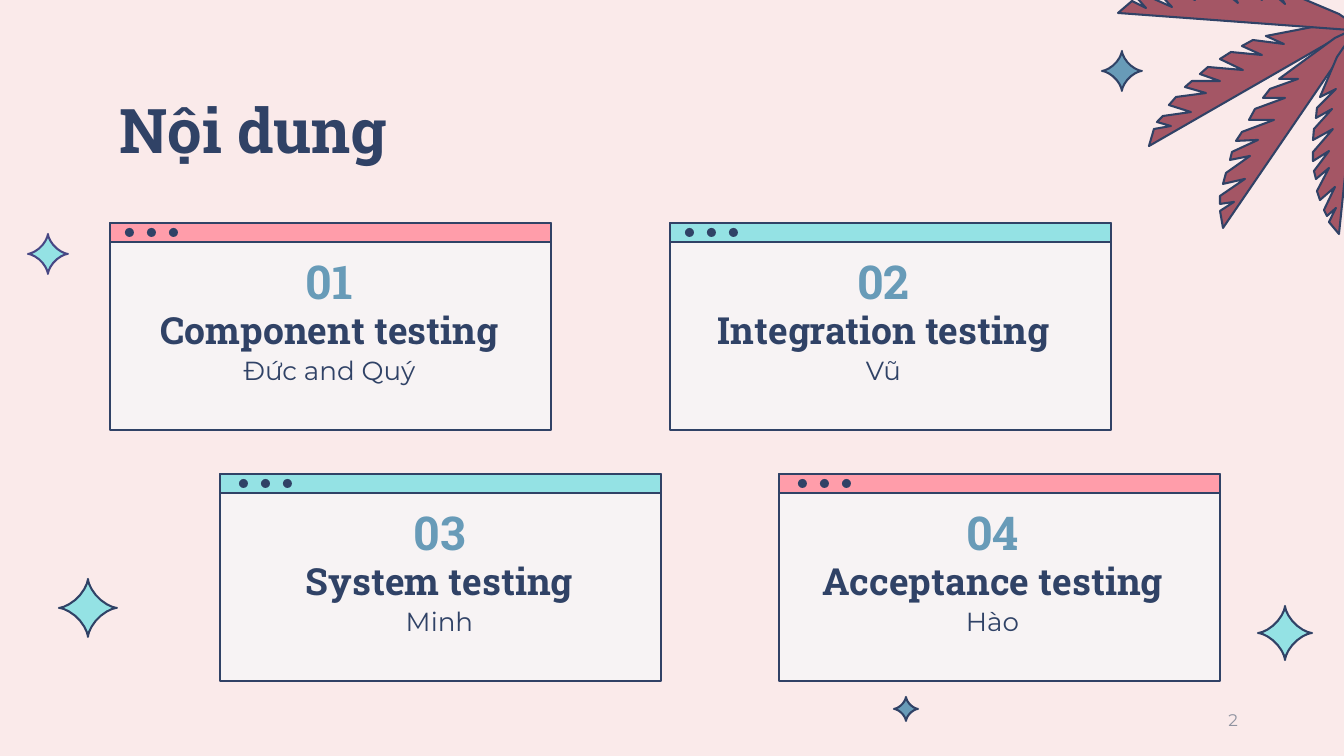
from math import cos, radians, sin

from pptx import Presentation
from pptx.dml.color import RGBColor
from pptx.enum.shapes import MSO_SHAPE as Shape
from pptx.enum.text import MSO_ANCHOR as Anchor, PP_ALIGN as Align
from pptx.util import Pt

PX = 914400 / 134.4
FINE = 100  # freeform units per px

CREAM = RGBColor(0xFA, 0xEA, 0xEA)
PAPER = RGBColor(0xF7, 0xF3, 0xF4)
NAVY = RGBColor(0x30, 0x42, 0x66)
PURPLE = RGBColor(0x47, 0x47, 0x84)
BLUE = RGBColor(0x68, 0x9B, 0xB8)
AQUA = RGBColor(0x94, 0xE2, 0xE4)
PINK = RGBColor(0xFF, 0x9D, 0xAA)
MAROON = RGBColor(0xA4, 0x56, 0x65)
GREY = RGBColor(0x8F, 0x93, 0xA0)
SLAB, SANS = "Roboto Slab", "Montserrat"


def write(text, left, top, width, height, box=None, size=14, font=SANS, color=NAVY,
          bold=False, align=Align.CENTER, anchor=Anchor.TOP, line=0.9, before=0):
    """Fill the given placeholder, or a new text box, with one formatted line."""
    place = [round(value * PX) for value in (left, top, width, height)]
    box = box or page.shapes.add_textbox(*place)
    box.left, box.top, box.width, box.height = place
    frame = box.text_frame
    frame.word_wrap = True
    frame.vertical_anchor = anchor
    para = frame.paragraphs[0]
    para.alignment, para.line_spacing, para.space_before = align, line, Pt(before)
    span = para.add_run()
    span.text = text
    span.font.size, span.font.name, span.font.bold = Pt(size), font, bold
    span.font.color.rgb = color


def draw(kind, points, fill, line=NAVY):
    """Draw a preset shape in a box, or an outline through points if kind is None."""
    if kind is None:
        fine = [(x * FINE, y * FINE) for x, y in points]
        builder = page.shapes.build_freeform(*fine[0], scale=PX / FINE)
        builder.add_line_segments(fine[1:], close=True)
        shape = builder.convert_to_shape()
    else:
        shape = page.shapes.add_shape(kind, *[round(value * PX) for value in points])
    shape.shadow.inherit = False
    shape.fill.solid()
    shape.fill.fore_color.rgb = fill
    if line is None:
        shape.line.fill.background()
    else:
        shape.line.color.rgb = line
        shape.line.width = Pt(1.11)


deck = Presentation()
deck.slide_width, deck.slide_height = round(1344 * PX), round(756 * PX)
page = deck.slides.add_slide(deck.slide_layouts[5])
page.background.fill.solid()
page.background.fill.fore_color.rgb = CREAM

# Sparkles: centre, radius, colours
SPARKLES = [
    (88, 608, 29, AQUA, NAVY),
    (906, 709, 12, BLUE, NAVY),
    (48, 254, 20, AQUA, PURPLE),
    (1122, 71, 20, BLUE, NAVY),
    (1285, 633, 27, AQUA, NAVY),
]
for x, y, radius, fill, line in SPARKLES:
    turns = [radians(angle) for angle in range(0, 360, 10)]
    outline = [(x + radius * cos(t) ** 3, y + radius * sin(t) ** 3) for t in turns]
    draw(None, outline, fill, line)

# Palm leaves in the corner
LEAVES = [
    [(1231, 52), (1220, 59), (1243, 70), (1208, 67), (1200, 74), (1220, 81),
     (1192, 81), (1185, 87), (1206, 93), (1176, 97), (1169, 105), (1191, 112),
     (1163, 116), (1157, 122), (1171, 126), (1154, 129), (1149, 146), (1363, 23),
     (1333, 23), (1266, 36), (1284, 44), (1253, 40), (1242, 46), (1262, 55)],
    [(1238, -19), (1224, -19), (1238, 3), (1211, -19), (1202, -19), (1214, -1),
     (1189, -17), (1180, -16), (1195, 0), (1167, -13), (1157, -9), (1172, 7),
     (1145, -5), (1138, -1), (1146, 8), (1132, 1), (1118, 13), (1364, 31),
     (1339, 14), (1275, -13), (1285, 4), (1262, -16), (1251, -17), (1262, 0)],
    [(1255, 109), (1249, 120), (1274, 120), (1242, 132), (1236, 141), (1258, 140),
     (1232, 152), (1230, 160), (1250, 156), (1226, 173), (1223, 184), (1245, 179),
     (1220, 196), (1220, 204), (1234, 202), (1220, 211), (1223, 228), (1361, 26),
     (1335, 38), (1279, 79), (1298, 79), (1270, 89), (1263, 98), (1285, 98)],
    [(1314, 129), (1313, 140), (1333, 129), (1313, 152), (1313, 161), (1329, 151),
     (1314, 171), (1316, 179), (1329, 168), (1317, 191), (1320, 200), (1335, 187),
     (1324, 210), (1327, 216), (1336, 208), (1329, 222), (1339, 234), (1361, 22),
     (1337, 57), (1320, 97), (1336, 89), (1317, 108), (1316, 118), (1332, 109)],
]
for leaf in LEAVES:
    draw(None, leaf, MAROON)

# Title
write("Nội dung", 106, 81, 1132, 105, box=page.shapes.title, size=33, font=SLAB,
      bold=True, align=Align.LEFT, anchor=Anchor.MIDDLE)

# Window cards: place, bar colour, first dot, text inset, wording
CARDS = [
    (110, 223, PINK, 15, 32, "01", "Component testing", "Đức and Quý"),
    (670, 223, AQUA, 15, 26, "02", "Integration testing", "Vũ"),
    (220, 474, AQUA, 19, 32, "03", "System testing", "Minh"),
    (779, 474, PINK, 19, 26, "04", "Acceptance testing", "Hào"),
]
for left, top, bar, dot, inset, number, topic, people in CARDS:
    draw(Shape.RECTANGLE, (left, top, 441, 207), PAPER)
    draw(Shape.RECTANGLE, (left, top, 441, 19), bar)
    for step in range(3):
        draw(Shape.OVAL, (left + dot + 22 * step, top + 5, 9, 9), NAVY, line=None)
    start = left + inset
    write(number, start, top + 38, 375, 46, size=25, font=SLAB, color=BLUE, bold=True,
          anchor=Anchor.MIDDLE, before=7.5)
    write(topic, start, top + 83, 375, 58, size=20, font=SLAB, bold=True, before=7.5)
    write(people, start, top + 128, 375, 58, before=7.5)

# Page number
write("2", 949, 700, 302, 40, size=9, color=GREY, align=Align.RIGHT,
      anchor=Anchor.MIDDLE, line=1)

deck.save("out.pptx")
